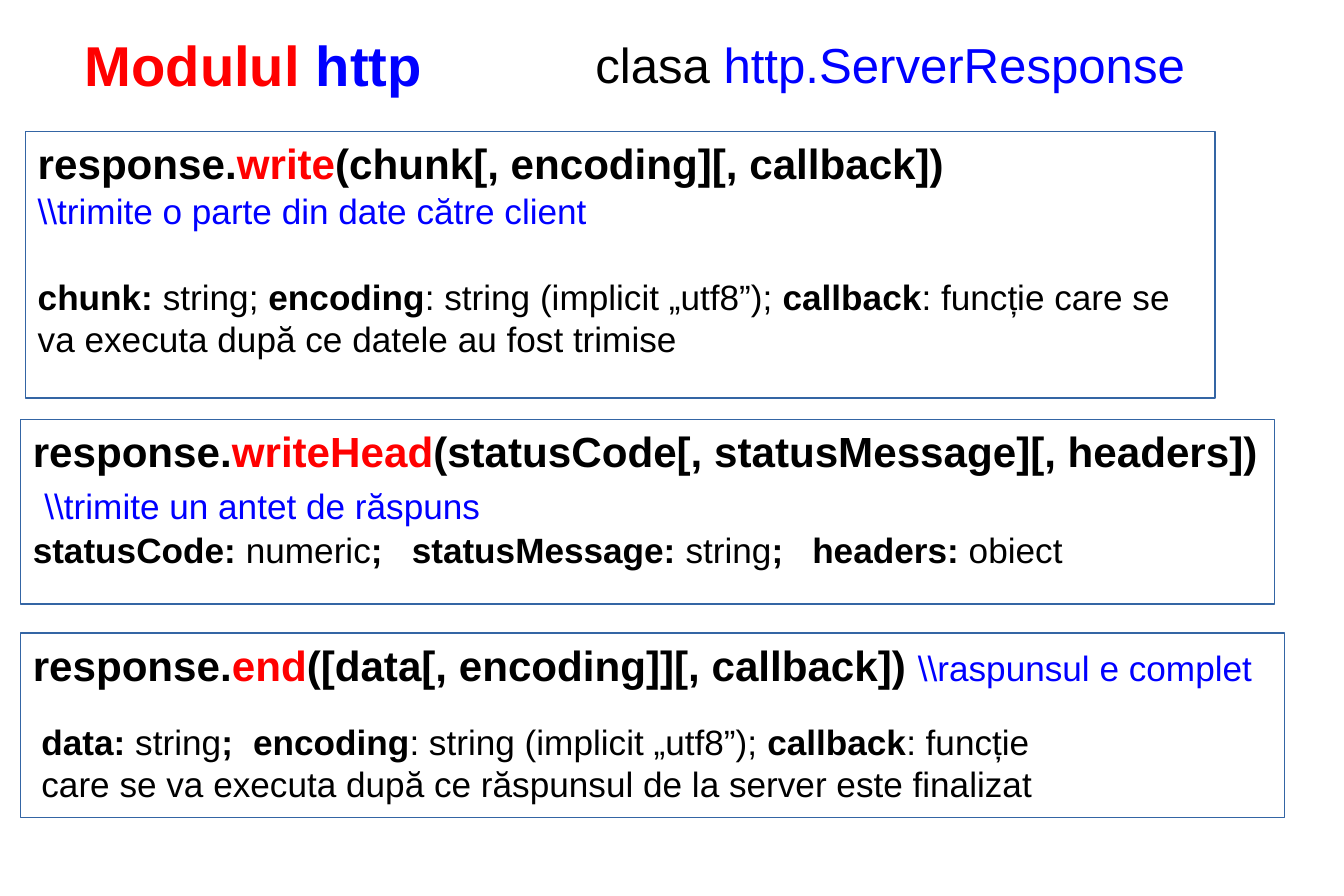
from dataclasses import dataclass, field
from typing import NamedTuple

from lxml.etree import SubElement
from pptx import Presentation
from pptx.dml.color import RGBColor
from pptx.enum.shapes import MSO_SHAPE
from pptx.enum.text import MSO_ANCHOR, PP_ALIGN
from pptx.oxml.ns import qn
from pptx.util import Inches, Pt


class Style(NamedTuple):
    size: int
    color: str
    bold: bool = False


class Theme:
    font = "Arial"
    black, red, blue, border = "000000", "FF0000", "0000FF", "3465A4"
    module = Style(32, red, True)
    module_name = Style(32, blue, True)
    class_label = Style(28, black)
    class_name = Style(28, blue)
    call = Style(24, black, True)
    method = Style(24, red, True)
    note = Style(20, blue)
    term = Style(20, black, True)
    plain = Style(20, black)


class Box(NamedTuple):
    """Place on a grid of 100 columns and 100 rows."""
    left: float
    top: float
    width: float
    height: float


@dataclass
class Line:
    runs: list
    before: float = 0
    indent: float = 0
    tabs: list = field(default_factory=list)


SLIDE_WIDTH, SLIDE_HEIGHT = Inches(10.63), Inches(7.09)
COLUMN, ROW = SLIDE_WIDTH / 100, SLIDE_HEIGHT / 100


def to_emu(box):
    return [round(share * unit) for share, unit in zip(box, (COLUMN, ROW) * 2)]


def write_lines(frame, lines):
    frame.word_wrap = True
    frame.vertical_anchor = MSO_ANCHOR.TOP
    for number, line in enumerate(lines):
        paragraph = frame.add_paragraph() if number else frame.paragraphs[0]
        paragraph.alignment = PP_ALIGN.LEFT
        if line.before:
            paragraph.space_before = Pt(line.before)
        properties = paragraph._p.get_or_add_pPr()
        if line.indent:
            properties.set("marL", str(round(line.indent * COLUMN)))
        if line.tabs:
            stops = SubElement(properties, qn("a:tabLst"))
            for stop in line.tabs:
                SubElement(stops, qn("a:tab"), pos=str(round(stop * COLUMN)), algn="l")
        for text, style in line.runs:
            run = paragraph.add_run()
            run.text = text
            run.font.name = Theme.font
            run.font.size = Pt(style.size)
            run.font.bold = style.bold
            run.font.color.rgb = RGBColor.from_string(style.color)


def add_text(slide, box, lines):
    write_lines(slide.shapes.add_textbox(*to_emu(box)).text_frame, lines)


def add_method_card(slide, box, lines):
    card = slide.shapes.add_shape(MSO_SHAPE.RECTANGLE, *to_emu(box))
    card.shadow.inherit = False
    card.fill.background()
    card.line.color.rgb = RGBColor.from_string(Theme.border)
    card.line.width = 0
    write_lines(card.text_frame, lines)


def signature(method, arguments):
    return [("response.", Theme.call), (method, Theme.method), (arguments, Theme.call)]


def add_header(slide, box):
    add_text(slide, box._replace(width=36),
             [Line([("Modulul ", Theme.module), ("http", Theme.module_name)])])
    add_text(slide, Box(box.left + 38, box.top + 0.42, 45.8, box.height),
             [Line([("clasa ", Theme.class_label),
                    ("http.ServerResponse", Theme.class_name)])])


def add_write(slide, box):
    add_method_card(slide, box, [
        Line(signature("write", "(chunk[, encoding][, callback])")),
        Line([(r"\\trimite o parte din date către client", Theme.note)], before=0.6),
        Line([("chunk:", Theme.term), (" string; ", Theme.plain),
              ("encoding", Theme.term), (": string (implicit „utf8”); ", Theme.plain),
              ("callback", Theme.term),
              (": funcție care se va executa după ce datele au fost trimise", Theme.plain)],
             before=25),
    ])


def add_write_head(slide, box):
    add_method_card(slide, box, [
        Line(signature("writeHead", "(statusCode[, statusMessage][, headers])")),
        Line([(r"\\trimite un antet de răspuns", Theme.note)], before=4.5, indent=0.87),
        Line([("statusCode: ", Theme.term), ("numeric", Theme.plain),
              (";\tstatusMessage: ", Theme.term), ("string", Theme.plain),
              (";\theaders: ", Theme.term), ("obiect", Theme.plain)],
             before=1, tabs=[28.2, 58]),
    ])


def add_end(slide, box):
    add_method_card(slide, box, [
        Line(signature("end", "([data[, encoding]][, callback]) ")
             + [(r"\\raspunsul e complet", Theme.note)]),
    ])
    # Parameters of end, in the lower part of the card
    add_text(slide, Box(box.left + 0.65, box.top + 9.03, 78.65, box.height - 9.03), [
        Line([("data: ", Theme.term), ("string", Theme.plain),
              (";\tencoding", Theme.term), (": string (implicit „utf8”); ", Theme.plain),
              ("callback", Theme.term),
              (": funcție care se va executa după ce răspunsul de la server este finalizat",
               Theme.plain)], tabs=[15.75]),
    ])


def main():
    presentation = Presentation()
    presentation.slide_width, presentation.slide_height = SLIDE_WIDTH, SLIDE_HEIGHT
    slide = presentation.slides.add_slide(presentation.slide_layouts[6])
    add_header(slide, Box(5.37, 2.68, 83.8, 13.26))
    add_write(slide, Box(1.88, 14.67, 88.52, 29.76))
    add_write_head(slide, Box(1.51, 46.83, 93.32, 20.59))
    add_end(slide, Box(1.51, 70.66, 94.07, 20.59))
    presentation.save("out.pptx")


if __name__ == "__main__":
    main()
